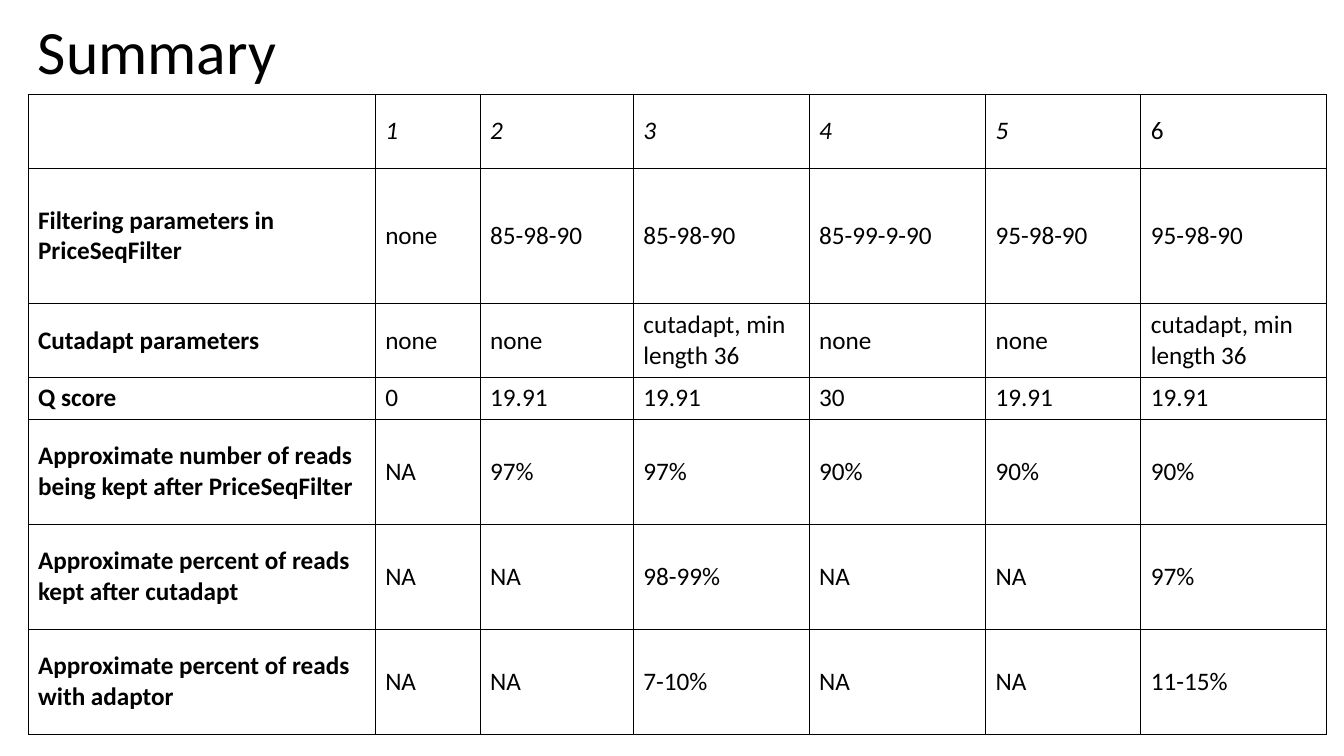
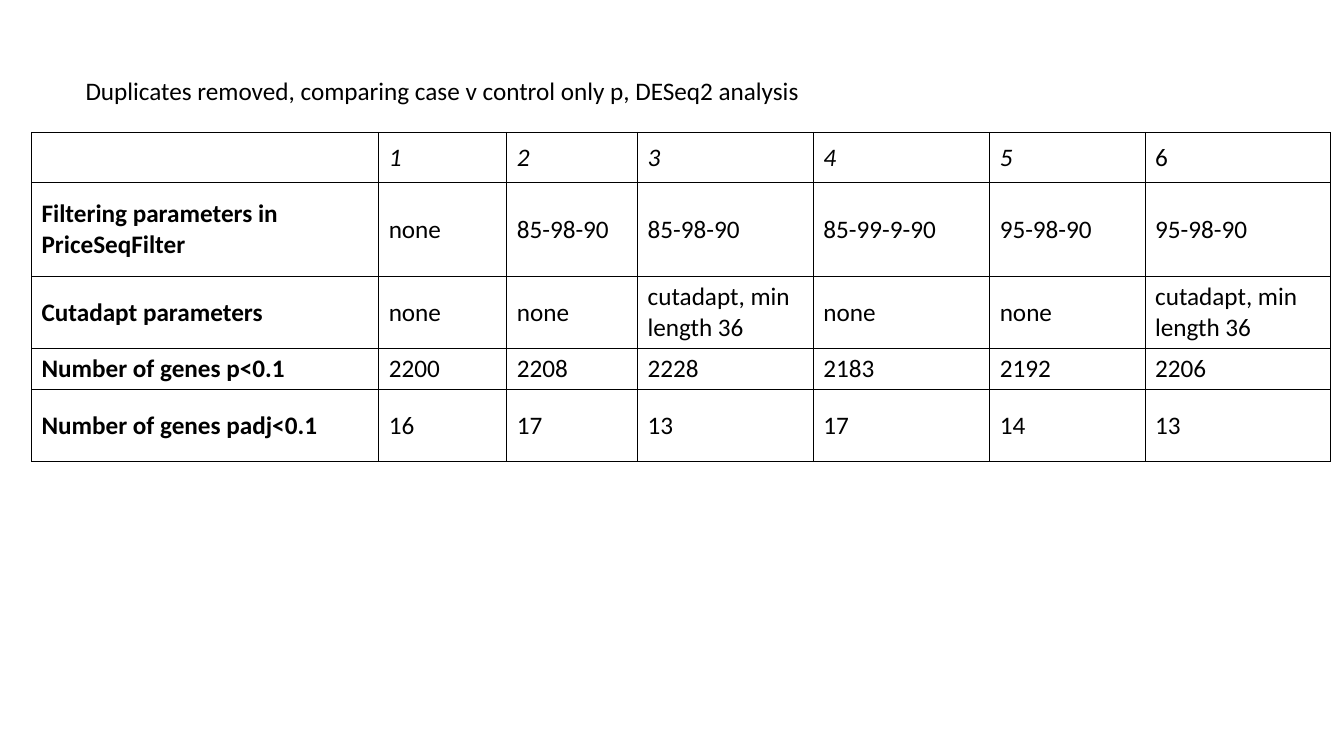
from lxml.etree import SubElement
from pptx import Presentation
from pptx.dml.color import RGBColor as RGB
from pptx.enum.text import MSO_ANCHOR as ANCHOR
from pptx.oxml.ns import qn
from pptx.util import Pt

COLORS = {"text": "000000", "border": "000000"}
HEADER = ["", "1", "2", "3", "4", "5", "6"]
FILTERING = ["Filtering parameters in PriceSeqFilter", "none", "85-98-90",
             "85-98-90", "85-99-9-90", "95-98-90", "95-98-90"]
CUTADAPT = ["Cutadapt parameters", "none", "none", "cutadapt, min length 36",
            "none", "none", "cutadapt, min length 36"]


class Deck:
    font = "Calibri"
    body_size = 18
    title_size = 44
    border_width = 0.75

    def __init__(self):
        self.prs = Presentation()
        self.prs.slide_width, self.prs.slide_height = Pt(960), Pt(540)
        self.s = None

    def slide(self):
        self.s = self.prs.slides.add_slide(self.prs.slide_layouts[6])

    def run(self, p, text, size=body_size, bold=False, italic=False):
        r = p.add_run()
        r.text = text
        r.font.name, r.font.size = self.font, Pt(size)
        r.font.bold, r.font.italic = bold, italic
        r.font.color.rgb = RGB.from_string(COLORS["text"])

    def text(self, text, x, y, w, h, size=body_size, anchor=ANCHOR.TOP):
        tf = self.s.shapes.add_textbox(Pt(x), Pt(y), Pt(w), Pt(h)).text_frame
        tf.word_wrap = True
        tf.vertical_anchor = anchor
        p = tf.paragraphs[0]
        self.run(p, text, size)
        return p

    def title(self, text):
        p = self.text(text, 20, -13, 828, 104.5, self.title_size, ANCHOR.MIDDLE)
        p.line_spacing = 0.9

    def borders(self, cell):
        """Draw a thin line on all four sides, before the fill in the XML."""
        tc_pr = cell._tc.get_or_add_tcPr()
        for i, side in enumerate(("a:lnL", "a:lnR", "a:lnT", "a:lnB")):
            ln = SubElement(tc_pr, qn(side), w=str(Pt(self.border_width)))
            fill = SubElement(ln, qn("a:solidFill"))
            SubElement(fill, qn("a:srgbClr"), val=COLORS["border"])
            tc_pr.insert(i, ln)

    def table(self, x, y, widths, heights, rows):
        """Add a grid with bold row labels and italic column numbers."""
        tbl = self.s.shapes.add_table(len(rows), len(widths), Pt(x), Pt(y),
                                      Pt(sum(widths)), Pt(sum(heights))).table
        tbl.first_row = tbl.horz_banding = False
        for col, w in zip(tbl.columns, widths):
            col.width = Pt(w)
        for i, (values, h) in enumerate(zip(rows, heights)):
            tbl.rows[i].height = Pt(h)
            for j, value in enumerate(values):
                cell = tbl.cell(i, j)
                cell.vertical_anchor = ANCHOR.MIDDLE
                cell.fill.background()
                self.borders(cell)
                if value:
                    self.run(cell.text_frame.paragraphs[0], value, bold=j == 0,
                             italic=i == 0 and j < len(values) - 1)


def main():
    deck = Deck()
    shared_widths = [125.5, 126, 111, 132.5]

    deck.slide()
    deck.title("Summary")
    deck.table(20, 67.5, [248, 75, 109.5] + shared_widths,
               [52.5, 97, 52.5, 30, 75, 75, 75], [
        HEADER, FILTERING, CUTADAPT,
        ["Q score", "0", "19.91", "19.91", "30", "19.91", "19.91"],
        ["Approximate number of reads being kept after PriceSeqFilter",
         "NA", "97%", "97%", "90%", "90%", "90%"],
        ["Approximate percent of reads kept after cutadapt",
         "NA", "NA", "98-99%", "NA", "NA", "97%"],
        ["Approximate percent of reads with adaptor",
         "NA", "NA", "7-10%", "NA", "NA", "11-15%"],
    ])

    deck.slide()
    deck.table(22.5, 94.5, [248, 91.5, 93.5] + shared_widths,
               [36, 67, 51.5, 29, 52], [
        HEADER, FILTERING, CUTADAPT,
        ["Number of genes p<0.1", "2200", "2208", "2228", "2183", "2192", "2206"],
        ["Number of genes padj<0.1", "16", "17", "13", "17", "14", "13"],
    ])
    deck.text("Duplicates removed, comparing case v control only p, DESeq2 analysis",
              54, 50, 652, 29)

    deck.prs.save("out.pptx")


if __name__ == "__main__":
    main()
